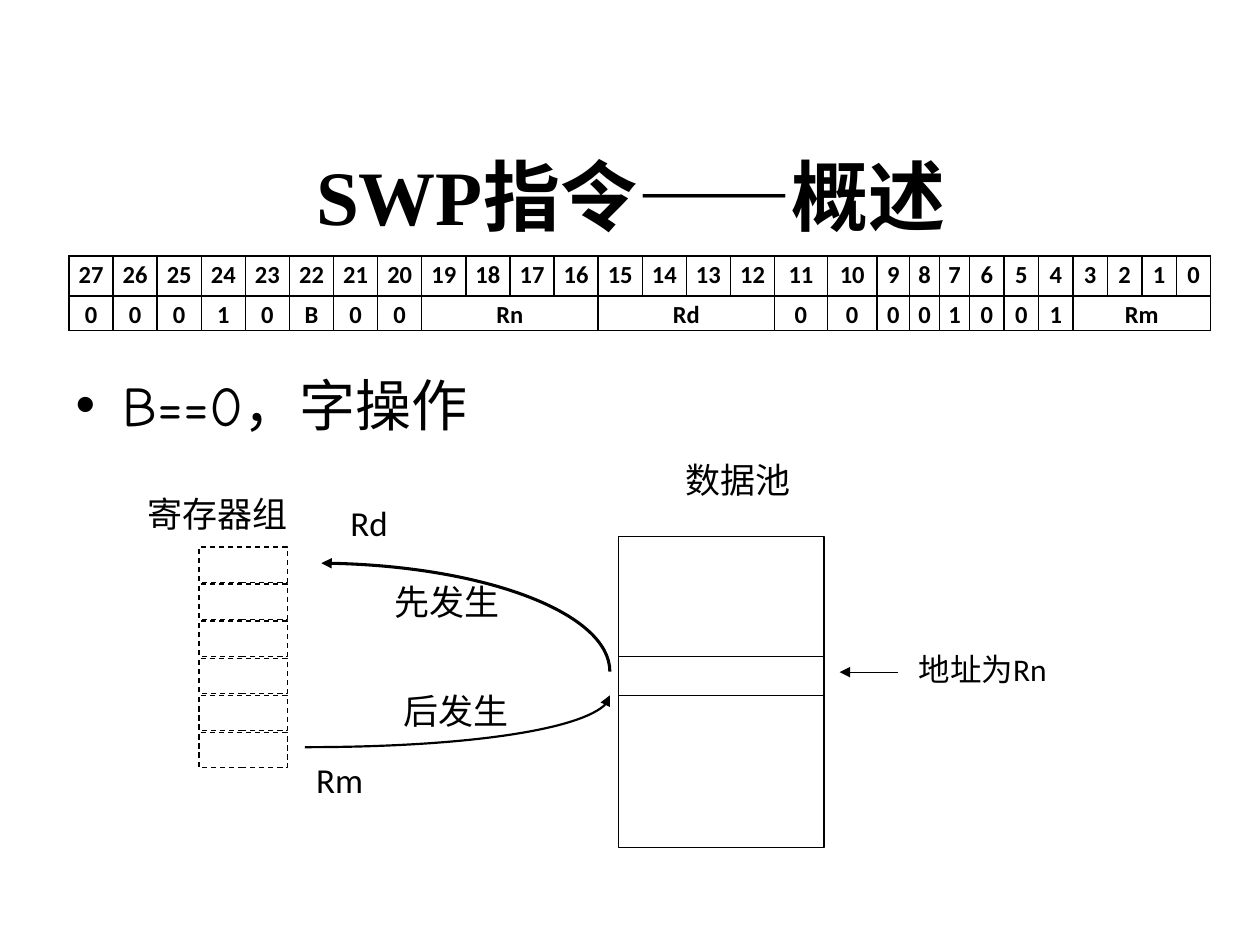
from lxml import etree
from pptx import Presentation
from pptx.dml.color import RGBColor
from pptx.enum import dml, shapes, text
from pptx.oxml import ns
from pptx.util import Pt

BLACK = RGBColor(0, 0, 0)
WHITE = RGBColor(255, 255, 255)


def write(frame, words, size, font="Calibri", bold=False, align=None, margins=(0, 0)):
    frame.word_wrap = True
    frame.margin_left = frame.margin_right = Pt(margins[0])
    frame.margin_top = frame.margin_bottom = Pt(margins[1])
    para = frame.paragraphs[0]
    para.alignment = align
    span = para.add_run()
    span.text = words
    span.font.size = Pt(size)
    span.font.name = font
    span.font.bold = bold
    span.font.color.rgb = BLACK
    return para


def outline(shape, width, arrow=None):
    shape.line.color.rgb = BLACK
    shape.line.width = Pt(width)
    if arrow:
        etree.SubElement(shape.line._get_or_add_ln(), ns.qn("a:" + arrow), type="triangle")
    properties = shape._element.spPr
    if properties.find(ns.qn("a:effectLst")) is None:
        etree.SubElement(properties, ns.qn("a:effectLst"))


deck = Presentation()
deck.slide_width, deck.slide_height = Pt(720), Pt(540)
page = deck.slides.add_slide(deck.slide_layouts[1])

title, body = page.placeholders
title.left, title.top, title.width, title.height = Pt(36.5), Pt(66), Pt(648), Pt(90)
title.text_frame.vertical_anchor = text.MSO_ANCHOR.MIDDLE
write(title.text_frame, "SWP指令——概述", 44, "Times New Roman", True,
      text.PP_ALIGN.CENTER, (7.2, 3.6))
body.left, body.top, body.width, body.height = Pt(36), Pt(208), Pt(648), Pt(40)
write(body.text_frame, "B==0，字操作", 32, "Comic Neue", margins=(7.2, 3.6))

widths = [25.2] * 16 + [30.2, 28.4, 18.7, 17, 17.3] + [19.7] * 7
bits = [str(bit) for bit in range(27, -1, -1)]
fields = list("00010B00") + ["Rn", "", "", "", "Rd", "", "", ""] + list("00001001") + ["Rm", "", "", ""]
table = page.shapes.add_table(2, len(widths), Pt(39.4), Pt(146.2), Pt(sum(widths)), Pt(41)).table
table.first_row = table.horz_banding = False
for column, width in zip(table.columns, widths):
    column.width = Pt(width)
table.rows[0].height, table.rows[1].height = Pt(23), Pt(17)
for name in ("Rn", "Rd", "Rm"):
    start = fields.index(name)
    table.cell(1, start).merge(table.cell(1, start + 3))
for row, words in enumerate((bits, fields)):
    for column, word in enumerate(words):
        cell = table.cell(row, column)
        cell.margin_left = cell.margin_right = Pt(5)
        cell.margin_top = cell.margin_bottom = 0
        if word:
            para = write(cell.text_frame, word, 14, bold=True, align=text.PP_ALIGN.CENTER)
            para.line_spacing = 1.15
            para.space_after = Pt(10)
        properties = cell._tc.get_or_add_tcPr()
        for side in ("lnL", "lnR", "lnT", "lnB"):
            border = etree.SubElement(properties, ns.qn("a:" + side), w=str(Pt(1)))
            paint = etree.SubElement(border, ns.qn("a:solidFill"))
            etree.SubElement(paint, ns.qn("a:srgbClr"), val=str(BLACK))
        cell.fill.background()

registers = [(113.8, 312.5 + 21.2 * index, 50.4, 20.2) for index in range(6)]
pool = (353.5, 306.7, 117.4, 177.8)
for place in registers + [pool]:
    box = page.shapes.add_shape(shapes.MSO_SHAPE.RECTANGLE, *map(Pt, place))
    box.shadow.inherit = False
    box.fill.solid()
    box.fill.fore_color.rgb = WHITE
    outline(box, 0.75)
    if place != pool:
        box.line.dash_style = dml.MSO_LINE.DASH

pool_right = pool[0] + pool[2]
for ends, arrow in (
    ((pool[0], 375, pool_right, 375), None),
    ((pool[0], 397.4, pool_right, 397.4), None),
    ((513.2, 384.1, 479.8, 384.1), "tailEnd"),
):
    line = page.shapes.add_connector(shapes.MSO_CONNECTOR.STRAIGHT, *map(Pt, ends))
    outline(line, 0.75, arrow)

for points, width, arrow in (
    ([(174.2, 427), (270, 427), (348.5, 414), (348.5, 397.4)], 1.25, "tailEnd"),
    ([(183.6, 321.8), (275, 322.6), (348.5, 350.6), (348.5, 383.8)], 1.75, "headEnd"),
):
    start, *rest = [(Pt(x), Pt(y)) for x, y in points]
    builder = page.shapes.build_freeform(*start)
    builder.add_line_segments(rest, close=False)
    curve = builder.convert_to_shape()
    track = curve._element.find(".//" + ns.qn("a:path"))
    bend = etree.SubElement(track, ns.qn("a:cubicBezTo"))
    for segment in track.findall(ns.qn("a:lnTo")):
        bend.append(segment[0])
        track.remove(segment)
    curve.fill.background()
    outline(curve, width, arrow)

for words, left, top, width, height, size in (
    ("寄存器组", 84.2, 281.5, 89.3, 22.3, 20),
    ("数据池", 391.7, 262, 63.4, 26, 20),
    ("地址为Rn", 524.9, 371.5, 82, 26, 18),
    ("Rm", 180.7, 433.4, 29, 26, 20),
    ("Rd", 200.2, 286.6, 29, 26, 20),
    ("先发生", 225.4, 332, 70, 26.6, 20),
    ("后发生", 230.4, 394, 64, 28, 20),
):
    label = page.shapes.add_textbox(Pt(left), Pt(top), Pt(width), Pt(height))
    write(label.text_frame, words, size)

deck.save("out.pptx")
